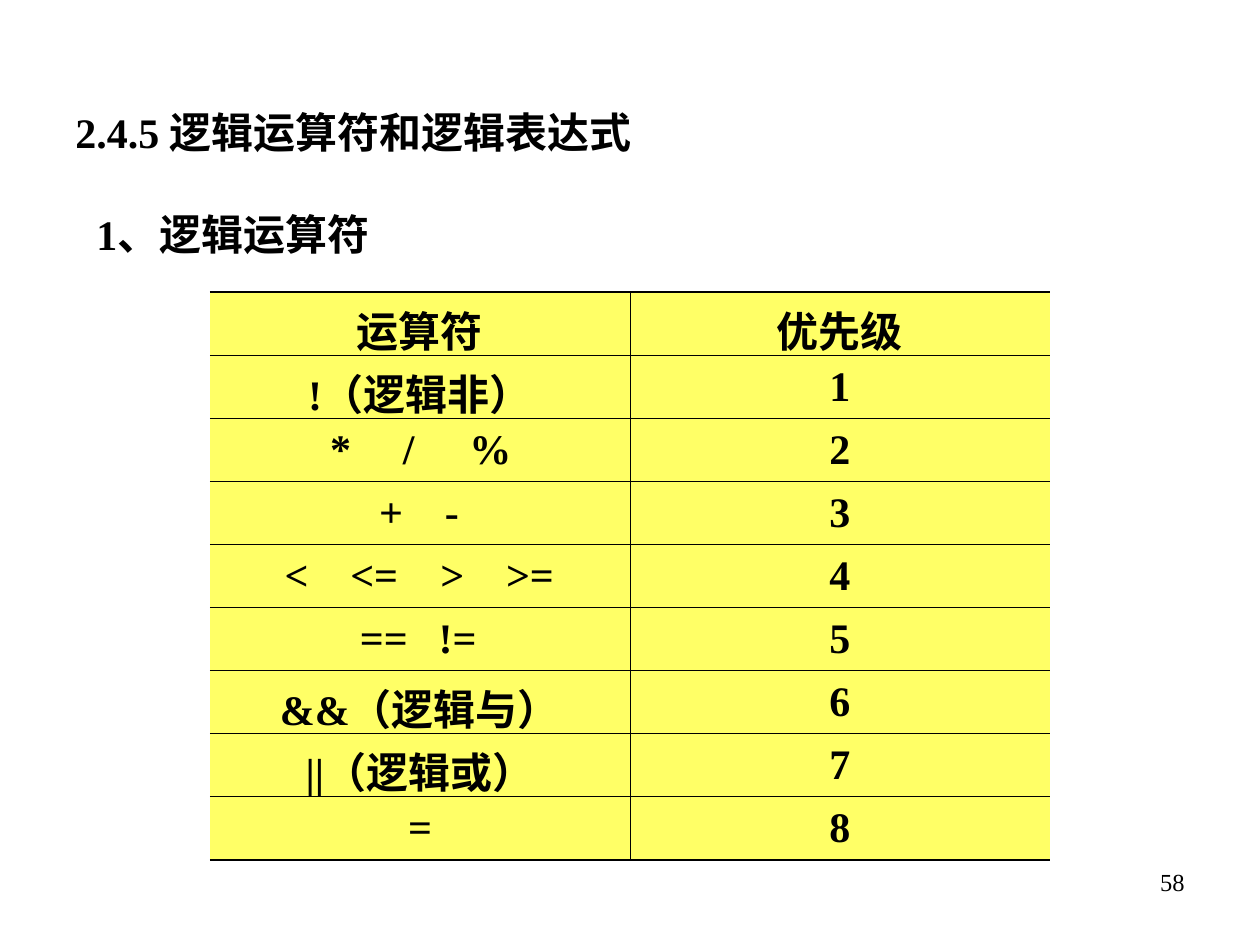
from lxml.etree import SubElement
from pptx import Presentation
from pptx.dml.color import RGBColor
from pptx.enum.text import MSO_ANCHOR, PP_ALIGN
from pptx.oxml.ns import qn
from pptx.util import Pt

FONT = "Times New Roman"
BLACK = "000000"
YELLOW = "FFFF66"
THIN, THICK = 0.45, 1.08

# Operators of one row, with the tab stop in points for each
OPERATOR_ROWS = [
    ["运算符"],
    ["!（逻辑非）"],
    [("*", 61.5), ("/", 103), ("%", 141)],
    [("+", 89.5), ("-", 127)],
    [("<", 35.5), ("<=", 73), (">", 124.5), (">=", 162)],
    [("==", 78.5), ("!=", 123.5)],
    ["&&（逻辑与）"],
    ["||（逻辑或）"],
    ["="],
]


def color(hex_string):
    return RGBColor.from_string(hex_string)


def write(para, text, size=24, bold=True, align=PP_ALIGN.LEFT, tabs=(),
          indent=0, line_spacing=None, space_before=None):
    para.alignment = align
    para.line_spacing = line_spacing
    para.space_before = space_before
    properties = para._p.get_or_add_pPr()
    if indent:
        properties.set("marL", str(Pt(indent)))
        properties.set("indent", "0")
    if tabs:
        tab_list = SubElement(properties, qn("a:tabLst"))
        for position in tabs:
            SubElement(tab_list, qn("a:tab"), pos=str(Pt(position)), algn="l")
    span = para.add_run()
    span.text = text
    span.font.name = FONT
    span.font.size = Pt(size)
    span.font.bold = bold
    span.font.color.rgb = color(BLACK)


def add_text_frame(page, left, top, width, height):
    box = page.shapes.add_textbox(Pt(left), Pt(top), Pt(width), Pt(height))
    box.text_frame.word_wrap = True
    return box.text_frame


def set_borders(cell, **widths):
    """Draw the sides L, R, T, B in points; a width of 0 hides the side."""
    properties = cell._tc.get_or_add_tcPr()
    for index, side in enumerate("LRTB"):
        width = widths[side]
        line = properties.makeelement(qn(f"a:ln{side}"), {"w": str(Pt(width))})
        properties.insert(index, line)
        if width:
            fill = SubElement(line, qn("a:solidFill"))
            SubElement(fill, qn("a:srgbClr"), val=BLACK)
        else:
            SubElement(line, qn("a:noFill"))


def fill_operator_cell(cell, operators):
    para = cell.text_frame.paragraphs[0]
    if isinstance(operators[0], str):
        write(para, operators[0], align=PP_ALIGN.CENTER)
    else:
        write(para, "".join(f"\t{name}" for name, _ in operators),
              tabs=[position for _, position in operators])


def add_precedence_table(page):
    last = len(OPERATOR_ROWS) - 1
    table = page.shapes.add_table(last + 1, 2, Pt(120), Pt(167), Pt(480),
                                  Pt(36 * (last + 1))).table
    table.first_row = table.horz_banding = False
    for row, operators in enumerate(OPERATOR_ROWS):
        for column in range(2):
            cell = table.cell(row, column)
            cell.fill.solid()
            cell.fill.fore_color.rgb = color(YELLOW)
            cell.vertical_anchor = MSO_ANCHOR.MIDDLE
            set_borders(cell, L=THIN * column, R=THIN * (1 - column),
                        T=THIN if row else THICK,
                        B=THIN if row < last else THICK)
        fill_operator_cell(table.cell(row, 0), operators)
        write(table.cell(row, 1).text_frame.paragraphs[0],
              str(row) if row else "优先级", align=PP_ALIGN.CENTER)


def add_headings(page):
    frame = add_text_frame(page, 24, 43, 455, 109)
    write(frame.paragraphs[0], "2.4.5 逻辑运算符和逻辑表达式",
          indent=12, line_spacing=1.5)
    write(frame.add_paragraph(), "1、逻辑运算符",
          indent=24, line_spacing=1.5, space_before=Pt(15))


def add_page_number(page):
    frame = add_text_frame(page, 516, 492, 168, 37)
    write(frame.paragraphs[0], "58", size=14, bold=False, align=PP_ALIGN.RIGHT)


def main():
    deck = Presentation()
    deck.slide_width, deck.slide_height = Pt(720), Pt(540)
    page = deck.slides.add_slide(deck.slide_layouts[6])
    add_page_number(page)
    add_headings(page)
    add_precedence_table(page)
    deck.save("out.pptx")


if __name__ == "__main__":
    main()
